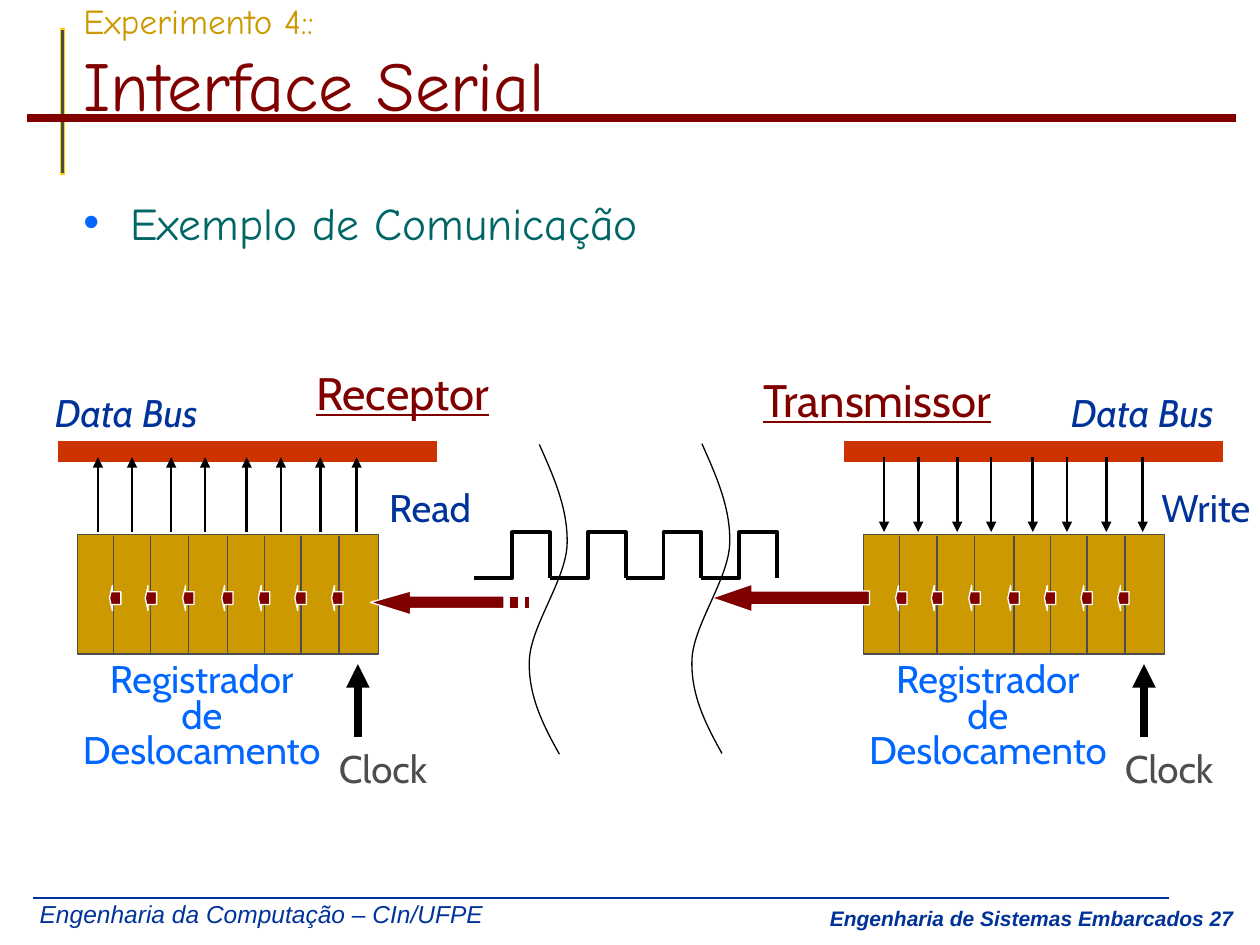
from dataclasses import dataclass

from lxml import etree
from pptx import Presentation
from pptx.dml.color import RGBColor
from pptx.enum import shapes, text
from pptx.oxml.ns import qn
from pptx.util import Pt

COLORS = {
    "maroon": "800000", "gold": "CC9900", "yellow": "FFCC00", "gray": "4D4D4D",
    "navy": "003399", "blue": "0066FF", "teal": "006666", "bus": "CC3300",
    "black": "000000", "white": "FFFFFF",
}


@dataclass
class Label:
    lines: list[str]
    left: float
    top: float
    width: float
    height: float
    color: str
    size: float = 22
    font: str = "Cabin"
    bold: bool = False
    italic: bool = False
    underline: bool = False
    align: text.PP_ALIGN = text.PP_ALIGN.LEFT
    spacing: float = 1.0
    fill: str = ""
    wrap: bool = False


@dataclass
class Station:
    offset: float
    bus_label_left: float
    action: str
    action_left: float
    action_width: float
    reads: bool


STATIONS = [
    Station(0, 24.2, "Read", 215.3, 63.4, True),
    Station(449.2, 604.8, "Write", 656.6, 67, False),
]
BUS_ARROWS = [56, 75.5, 97.8, 117.2, 141, 160.5, 183, 203.8]
DIVIDERS = [65, 86.2, 107.7, 130.2, 151.2, 172, 193.7]
BIT_ARROWS = [62.6, 83, 104.4, 126.7, 147.6, 168.5, 189.5]


def rgb(name: str) -> RGBColor:
    return RGBColor.from_string(COLORS[name])


def add_span(para, words: str, size: float, color: str, font: str):
    span = para.add_run()
    span.text = words
    span.font.size = Pt(size)
    span.font.name = font
    span.font.color.rgb = rgb(color)
    return span


def add_label(page, label: Label) -> None:
    box = page.shapes.add_textbox(
        Pt(label.left), Pt(label.top), Pt(label.width), Pt(label.height))
    if label.fill:
        box.fill.solid()
        box.fill.fore_color.rgb = rgb(label.fill)
    frame = box.text_frame
    frame.word_wrap = label.wrap
    frame.auto_size = text.MSO_AUTO_SIZE.SHAPE_TO_FIT_TEXT
    for index, line in enumerate(label.lines):
        para = frame.add_paragraph() if index else frame.paragraphs[0]
        para.alignment = label.align
        para.line_spacing = label.spacing
        para.space_before = Pt(0.2 * label.size if index else 0)
        span = add_span(para, line, label.size, label.color, label.font)
        span.font.bold = label.bold
        span.font.italic = label.italic
        span.font.underline = label.underline


def add_line(parent, x1: float, y1: float, x2: float, y2: float,
             color: str, width: float, arrow: bool = False) -> None:
    line = parent.add_connector(
        shapes.MSO_CONNECTOR.STRAIGHT, Pt(x1), Pt(y1), Pt(x2), Pt(y2))
    line.line.color.rgb = rgb(color)
    line.line.width = Pt(width)
    if arrow:
        etree.SubElement(line.line._get_or_add_ln(), qn("a:tailEnd"), type="triangle")
    etree.SubElement(line._element.spPr, qn("a:effectLst"))


def style_shape(shape, fill: str, line: str, width: float = 0.75) -> None:
    shape.shadow.inherit = False
    if fill:
        shape.fill.solid()
        shape.fill.fore_color.rgb = rgb(fill)
    else:
        shape.fill.background()
    shape.line.color.rgb = rgb(line)
    shape.line.width = Pt(width)


def add_block(parent, kind, left: float, top: float, width: float, height: float,
              fill: str, line: str, adjust: tuple = ()) -> None:
    block = parent.add_shape(kind, Pt(left), Pt(top), Pt(width), Pt(height))
    for index, value in enumerate(adjust):
        block.adjustments[index] = value
    style_shape(block, fill, line)


def add_outline(parent, contours: list, fill: str, line: str, width: float):
    builder = None
    for contour in contours:
        points = [(Pt(x), Pt(y)) for x, y in contour]
        if builder is None:
            builder = parent.build_freeform(*points[0], scale=1.0)
        else:
            builder.move_to(*points[0])
        builder.add_line_segments(points[1:], close=bool(fill))
    outline = builder.convert_to_shape()
    style_shape(outline, fill, line, width)
    return outline


def add_break_curve(parent, left: float, top: float) -> None:
    knots = [(6.5, 0), (14.6, 18.2), (23, 36.7), (22.4, 57),
             (21.7, 77.5), (1.6, 103.5), (0.8, 123.3),
             (0, 143.2), (8.7, 160.5), (18, 177)]
    curve = add_outline(parent, [[(left + x, top + y) for x, y in knots]], "", "black", 0.75)
    # Every three segments become one cubic curve
    segments = list(curve._element.iter(qn("a:lnTo")))
    for first in range(0, len(segments), 3):
        trio = segments[first:first + 3]
        cubic = etree.Element(qn("a:cubicBezTo"))
        trio[0].addprevious(cubic)
        for segment in trio:
            cubic.append(segment[0])
            segment.getparent().remove(segment)


def add_station(page, station: Station) -> None:
    dx = station.offset
    # Shift register with its cell dividers
    register = page.shapes.add_group_shape().shapes
    add_block(register, shapes.MSO_SHAPE.RECTANGLE, 44.2 + dx, 305.3, 172, 68.4,
              "gold", "gray")
    for x in DIVIDERS:
        add_line(register, x + dx, 306, x + dx, 373, "gray", 0.75)
    # Data bus and its arrows
    add_line(page.shapes, 33 + dx, 257.8, 249.9 + dx, 257.8, "bus", 12)
    start, end = (304, 261.3) if station.reads else (261.3, 304)
    for x in BUS_ARROWS:
        add_line(page.shapes, x + dx, start, x + dx, end, "black", 1.5, arrow=True)
    for x in BIT_ARROWS:
        add_block(page.shapes, shapes.MSO_SHAPE.LEFT_ARROW, x + dx, 334.6, 6.5, 14.4,
                  "maroon", "white", (0.5, 0.25))
    # Labels and clock
    add_label(page, Label(["Registrador", "de", "Deslocamento"], 39.8 + dx, 380.2, 151, 65.5,
                          "blue", align=text.PP_ALIGN.CENTER, spacing=0.6))
    add_label(page, Label(["Clock"], 186.5 + dx, 422, 65.5, 34, "gray", fill="white"))
    add_line(page.shapes, 204.5 + dx, 421, 204.5 + dx, 379.5, "black", 4.5, arrow=True)
    add_label(page, Label(["Data Bus"], station.bus_label_left, 219, 101.5, 34,
                          "navy", italic=True))
    add_label(page, Label([station.action], station.action_left, 273,
                          station.action_width, 34, "navy"))


def place(holder, left: float, top: float, width: float, height: float):
    holder.left, holder.top = Pt(left), Pt(top)
    holder.width, holder.height = Pt(width), Pt(height)
    holder.text_frame.auto_size = text.MSO_AUTO_SIZE.NONE
    para = holder.text_frame.paragraphs[0]
    para.alignment = text.PP_ALIGN.LEFT
    para.space_before = Pt(0)
    return para


def main() -> None:
    deck = Presentation()
    deck.slide_width, deck.slide_height = Pt(720), Pt(540)
    page = deck.slides.add_slide(deck.slide_layouts[1])

    # Title rules and footer
    add_block(page.shapes, shapes.MSO_SHAPE.RECTANGLE, 34.6, 16.6, 2.2, 82.8, "gray", "yellow")
    add_line(page.shapes, 15.6, 67.4, 706.1, 67.4, "maroon", 4.5)
    add_line(page.shapes, 18.7, 513.1, 668, 513.1, "navy", 1)
    add_label(page, Label(["Engenharia da Computação – CIn/UFPE"], 15.6, 510.2, 277, 24,
                          "navy", 14, "Arial", italic=True))
    add_label(page, Label(["Engenharia de Sistemas Embarcados 27"], 438.5, 514, 273.6, 21.6,
                          "navy", 12, "Arial", bold=True, italic=True,
                          align=text.PP_ALIGN.RIGHT, wrap=True))

    # Title and bullet
    title = place(page.shapes.title, 40.4, -9.4, 679.6, 90)
    page.shapes.title.text_frame.vertical_anchor = text.MSO_ANCHOR.MIDDLE
    add_span(title, "Experimento 4:: ", 20, "gold", "Comic Neue")
    title.add_line_break()
    add_span(title, "Interface Serial", 40, "maroon", "Comic Neue")
    bullet = place(page.placeholders[1], 40.4, 107.6, 679.6, 43.2)
    bullet.space_after = Pt(3)
    props = bullet._p.get_or_add_pPr()
    props.set("marL", str(Pt(27)))
    props.set("indent", str(-Pt(27)))
    color = etree.SubElement(props, qn("a:buClr"))
    etree.SubElement(color, qn("a:srgbClr"), val=COLORS["blue"])
    etree.SubElement(props, qn("a:buChar"), char="•")
    add_span(bullet, "Exemplo de Comunicação", 26, "teal", "Comic Neue")

    # Receiver and transmitter
    for station in STATIONS:
        add_station(page, station)
    for name, left, top, width in (("Receptor", 173.5, 205, 116.6),
                                   ("Transmissor", 429.1, 209, 153.4)):
        add_label(page, Label([name], left, top, width, 38, "maroon", 26, underline=True))

    # Serial line: outgoing arrow, incoming dashed arrow, break curves, pulses
    add_block(page.shapes, shapes.MSO_SHAPE.LEFT_ARROW, 406.8, 333.8, 90, 15.8,
              "maroon", "white", (0.5, 1.45))
    head = [(234.7, 337.7), (234.7, 340.6), (288, 340.6), (288, 347.8),
            (234.7, 347.8), (234.7, 351.4), (211.7, 344.2)]
    dashes = [[(x, 340.6), (x + width, 340.6), (x + width, 347.8), (x, 347.8)]
              for x, width in ((290.9, 5.8), (299.5, 2.9))]
    add_outline(page.shapes, [head, *dashes], "maroon", "white", 0.75)
    for left, top in ((301.7, 254), (394.6, 253.6)):
        add_break_curve(page.shapes, left, top)
    pulses = page.shapes.add_group_shape().shapes
    for index in range(4):
        x = 270.9 + 43.3 * index
        add_outline(pulses, [[(x, 330.4), (x + 21.7, 330.4), (x + 21.7, 304.2),
                              (x + 43.3, 304.2), (x + 43.3, 330.4)]], "", "black", 2.25)

    deck.save("out.pptx")


if __name__ == "__main__":
    main()
